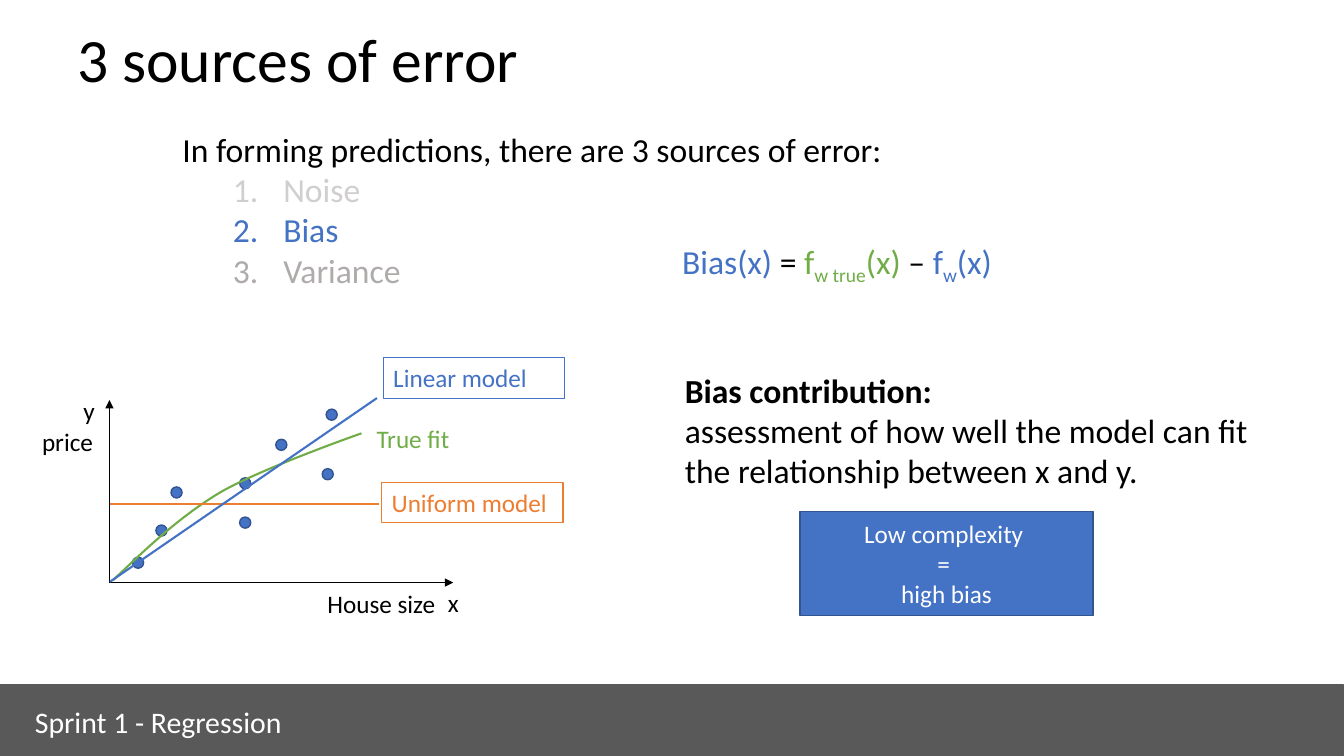
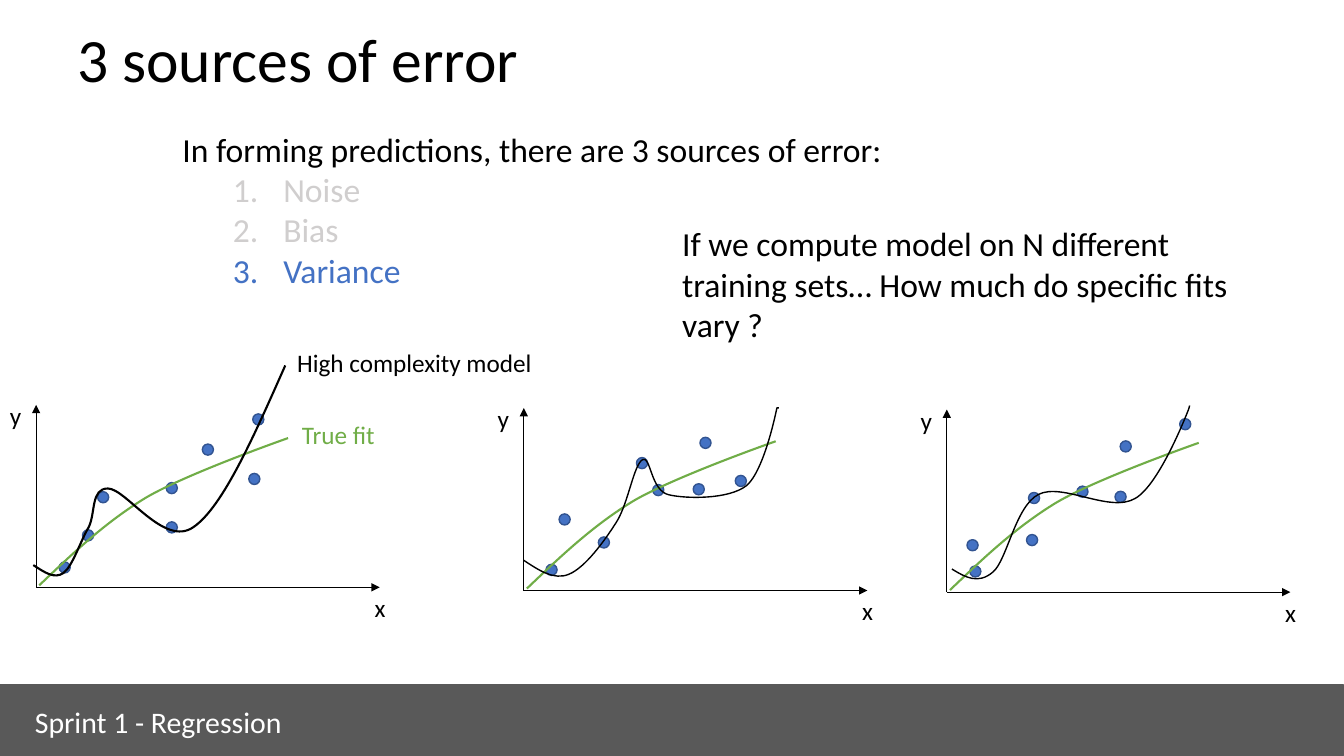
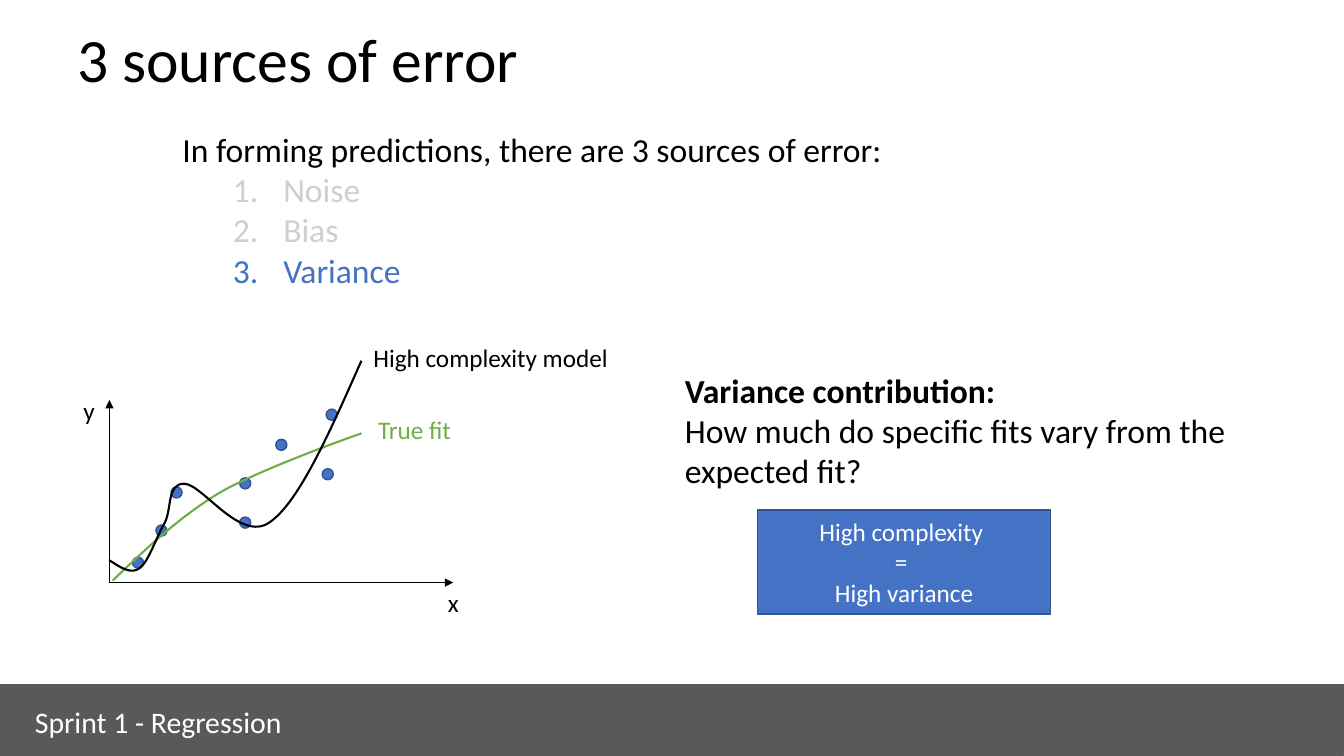
"""Build three slides on bias and variance as sources of error."""
from lxml import etree
from pptx import Presentation
from pptx.dml import color
from pptx.enum import shapes, text
from pptx.oxml import ns
from pptx.util import Cm, Pt

FONT = "Calibri"
BLACK, WHITE, BAND = "000000", "FFFFFF", "595959"
BLUE, EDGE, GREEN, ORANGE = "4472C4", "325491", "70AD47", "ED7D31"
PALE, GREY = "D0CECE", "AFABAB"

AXIS_WIDTH, AXIS_HEIGHT, DOT = 8.66, 4.6, 0.28

HOUSES = [(5.6, 4.23), (1.69, 2.27), (3.42, 1.51), (4.33, 3.47),
          (5.5, 2.73), (0.72, 0.5), (1.31, 1.31), (3.42, 2.5)]
SECOND_SET = [(4.58, 3.72), (2.02, 1.21), (2.98, 3.21), (4.41, 2.55),
              (5.47, 2.76), (0.7, 0.52), (1.03, 1.79), (3.39, 2.53)]
THIRD_SET = [(4.51, 3.67), (2.2, 2.37), (2.15, 1.31), (4.38, 2.4),
             (6.01, 4.23), (0.72, 0.52), (0.65, 1.18), (3.42, 2.53)]

TRUE_FIT = [(0.08, 0.05), (0.91, 0.84), (1.73, 1.63), (2.77, 2.26),
            (3.81, 2.87), (6.35, 3.76), (6.35, 3.76), (6.35, 3.76)]
FIRST_FIT = [(0, 0.56), (0.28, 0.38), (0.53, 0.2), (0.76, 0.36),
             (0.99, 0.53), (1.19, 1.17), (1.4, 1.52),
             (1.57, 1.88), (1.45, 2.49), (1.88, 2.49),
             (2.34, 2.49), (3.3, 0.99), (4.04, 1.52),
             (4.78, 2.03), (5.56, 3.81), (6.35, 5.59)]
SECOND_FIT = [(0, 0.76), (0.38, 0.51), (0.76, 0.25), (1.14, 0.41),
              (1.55, 0.58), (2.03, 1.24), (2.34, 1.73),
              (2.64, 2.21), (2.77, 3.18), (3, 3.3),
              (3.2, 3.4), (3.2, 2.51), (3.66, 2.41),
              (4.09, 2.31), (5.16, 2.29), (5.61, 2.64),
              (6.07, 3.02), (6.38, 4.6), (6.38, 4.6), (6.43, 4.6)]
THIRD_FIT = [(0.13, 0.58), (0.46, 0.38), (0.79, 0.18), (1.17, 0.51),
             (1.52, 0.81), (1.73, 2.16), (2.31, 2.46),
             (2.92, 2.77), (4.11, 1.98), (4.75, 2.36),
             (5.38, 2.72), (6.1, 4.62), (6.1, 4.62), (6.12, 4.7)]


def paint(target, colour):
    """Give a fill or a font colour from a hex string."""
    if hasattr(target, "solid"):
        target.solid()
        target = target.fore_color
    target.rgb = color.RGBColor.from_string(colour)


def outline(shape, colour, width):
    """Draw the line of a shape or connector."""
    paint(shape.line.fill, colour)
    shape.line.width = Pt(width)


def write(box, lines, size, colour, align=None):
    """Fill a shape with one paragraph per line."""
    frame = box.text_frame
    frame.word_wrap = True
    frame.text = "\n".join(lines)
    for para in frame.paragraphs:
        para.alignment = align
        para.font.name = FONT
        para.font.size = Pt(size)
        paint(para.font.color, colour)


def label(page, place, *lines, size=18, colour=BLACK):
    """Add a plain text box."""
    box = page.shapes.add_textbox(*map(Cm, place))
    write(box, lines, size, colour)
    return box


def block(page, kind, place, fill, edge, width=1):
    """Add a preset shape without shadow, hollow if it has no fill."""
    shape = page.shapes.add_shape(kind, *map(Cm, place))
    shape.shadow.inherit = False
    if fill:
        paint(shape.fill, fill)
    else:
        shape.fill.background()
    outline(shape, edge, width)
    return shape


def tag(page, place, words, colour, edge, size=18, fill=None, width=0.75):
    """Add an outlined rectangle with text at its top left."""
    box = block(page, shapes.MSO_SHAPE.RECTANGLE, place, fill, edge, width)
    box.text_frame.vertical_anchor = text.MSO_ANCHOR.TOP
    write(box, [words], size, colour, text.PP_ALIGN.LEFT)


def straight(page, start, end, colour, width, arrow=False):
    """Add a straight line, with an arrowhead at its end if wanted."""
    line = page.shapes.add_connector(
        shapes.MSO_CONNECTOR.STRAIGHT, *map(Cm, (*start, *end)))
    outline(line, colour, width)
    properties = line._element.spPr
    if arrow:
        stroke = properties.find(ns.qn("a:ln"))
        etree.SubElement(stroke, ns.qn("a:tailEnd"), type="triangle")
    etree.SubElement(properties, ns.qn("a:effectLst"))


def bend(shape):
    """Turn each full triple of line segments into one cubic curve."""
    segments = list(shape._element.iter(ns.qn("a:lnTo")))
    for first in range(0, len(segments) - 2, 3):
        cubic = etree.Element(ns.qn("a:cubicBezTo"))
        segments[first].addprevious(cubic)
        for segment in segments[first:first + 3]:
            cubic.append(segment[0])
            segment.getparent().remove(segment)


def curve(page, left, base, knots, colour, width=1.5):
    """Draw chained cubic curves measured from an axis origin."""
    track = [(Cm(left + across), Cm(base - up)) for across, up in knots]
    builder = page.shapes.build_freeform(*track[0])
    builder.add_line_segments(track[1:], close=False)
    shape = builder.convert_to_shape()
    bend(shape)
    shape.shadow.inherit = False
    shape.fill.background()
    outline(shape, colour, width)


def plot(page, left, base, dots):
    """Draw axes, data points and the true fit."""
    origin = (left, base)
    for end in ((left, base - AXIS_HEIGHT), (left + AXIS_WIDTH, base)):
        straight(page, origin, end, BLACK, 0.5, arrow=True)
    label(page, (left + 8.28, base, 0.82, 1.03), "x")
    label(page, (left - 0.91, base - 4.84, 0.82, 1.03), "y")
    for across, up in dots:
        place = (left + across - DOT / 2, base - up - DOT / 2, DOT, DOT)
        block(page, shapes.MSO_SHAPE.OVAL, place, BLUE, EDGE)
    curve(page, left, base, TRUE_FIT, GREEN)


def complex_model(page, left, base):
    """Draw the high complexity model and name both curves."""
    curve(page, left, base, FIRST_FIT, BLACK)
    label(page, (left + 6.4, base - 6.18, 6.65, 1.03), "High complexity model")
    label(page, (left + 6.52, base - 4.36, 5.97, 1.03), "True fit", colour=GREEN)


def contribution(page, heading, statement):
    """Add a bold heading with its explanation."""
    box = label(page, (17.01, 9.19, 15.47, 3.33), heading, statement, size=24)
    box.text_frame.paragraphs[0].font.bold = True


def verdict(page, left, top, *lines):
    """Add the blue box with the conclusion."""
    box = block(page, shapes.MSO_SHAPE.RECTANGLE, (left, top, 7.39, 2.62), BLUE, EDGE)
    box.text_frame.vertical_anchor = text.MSO_ANCHOR.MIDDLE
    write(box, lines, 18, WHITE, text.PP_ALIGN.CENTER)


def formula(page):
    """Write the definition of bias with subscripts."""
    box = label(page, (16.94, 5.94, 15.47, 1.27), "", size=24)
    para = box.text_frame.paragraphs[0]
    for words, colour, lowered in (
            ("Bias(x) ", BLUE, False), ("= ", BLACK, False),
            ("f", GREEN, False), ("w true", GREEN, True), ("(x) ", GREEN, False),
            ("– ", BLACK, False),
            ("f", BLUE, False), ("w", BLUE, True), ("(x)", BLUE, False)):
        span = para.add_run()
        span.text = words
        paint(span.font.color, colour)
        if lowered:
            span._r.get_or_add_rPr().set("baseline", "-25000")


def add_page(deck, colours):
    """Add a slide with title, footer band and the list of error sources."""
    page = deck.slides.add_slide(deck.slide_layouts[6])
    title = label(page, (1.7, 0, 30.48, 3.16), "3 sources of error", size=44)
    title.text_frame.vertical_anchor = text.MSO_ANCHOR.MIDDLE
    title.text_frame.paragraphs[0].line_spacing = 0.9
    block(page, shapes.MSO_SHAPE.RECTANGLE, (-0.05, 17.26, 33.91, 1.78), BAND, BAND)
    tag(page, (0.63, 17.6, 8.53, 1.17), "Sprint 1 - Regression", WHITE, BAND, size=21.3)
    box = label(page, (4.35, 3.12, 20.55, 4.37),
                "In forming predictions, there are 3 sources of error:",
                "Noise", "Bias", "Variance", size=24)
    for para, colour in zip(box.text_frame.paragraphs[1:], colours):
        para.level = 1
        paint(para.font.color, colour)
        properties = para._p.get_or_add_pPr()
        properties.set("marL", str(Cm(2.54)))
        properties.set("indent", str(-Cm(1.27)))
        number = etree.Element(ns.qn("a:buAutoNum"), type="arabicPeriod")
        properties.insert(0, number)
    return page


def bias_page(deck):
    """Show the bias of simple models."""
    page = add_page(deck, (PALE, BLUE, GREY))
    plot(page, 2.76, 14.68, HOUSES)
    label(page, (9.24, 10.54, 5.97, 1.03), "True fit", colour=GREEN)
    contribution(page, "Bias contribution:",
                 "assessment of how well the model can fit the relationship "
                 "between x and y.")
    verdict(page, 20.16, 12.89, "Low complexity ", "= ", "high bias")
    straight(page, (2.77, 12.7), (9.55, 12.7), ORANGE, 1)
    tag(page, (9.62, 12.15, 4.57, 1.03), "Uniform model", ORANGE, ORANGE)
    straight(page, (2.77, 14.66), (9.5, 10.03), BLUE, 1.5)
    tag(page, (9.66, 9.01, 4.57, 1.03), "Linear model", BLUE, BLUE,
        fill=WHITE, width=1)
    label(page, (0.81, 10.62, 1.8, 1.03), "price")
    label(page, (8, 14.71, 3.28, 1.03), "House size")
    formula(page)


def training_sets_page(deck):
    """Compare complex fits on three training sets."""
    page = add_page(deck, (PALE, PALE, BLUE))
    label(page, (16.94, 5.5, 15.47, 3.33),
          "If we compute model on N different training sets… "
          "How much do specific fits vary ?", size=24)
    plot(page, 0.91, 14.8, HOUSES)
    complex_model(page, 0.84, 14.8)
    for left, base, dots, fit in ((13.2, 14.88, SECOND_SET, SECOND_FIT),
                                  (23.86, 14.92, THIRD_SET, THIRD_FIT)):
        plot(page, left, base, dots)
        curve(page, left, base, fit, BLACK, 1)


def variance_page(deck):
    """Show the variance of a complex model."""
    page = add_page(deck, (PALE, PALE, BLUE))
    plot(page, 2.76, 14.68, HOUSES)
    complex_model(page, 2.76, 14.68)
    contribution(page, "Variance contribution:",
                 "How much do specific fits vary from the expected fit?")
    verdict(page, 19.09, 12.85, "High complexity ", "= ", "High variance")


def main():
    """Build and save the deck."""
    deck = Presentation()
    deck.slide_width, deck.slide_height = Cm(33.87), Cm(19.05)
    bias_page(deck)
    training_sets_page(deck)
    variance_page(deck)
    deck.save("out.pptx")


if __name__ == "__main__":
    main()
